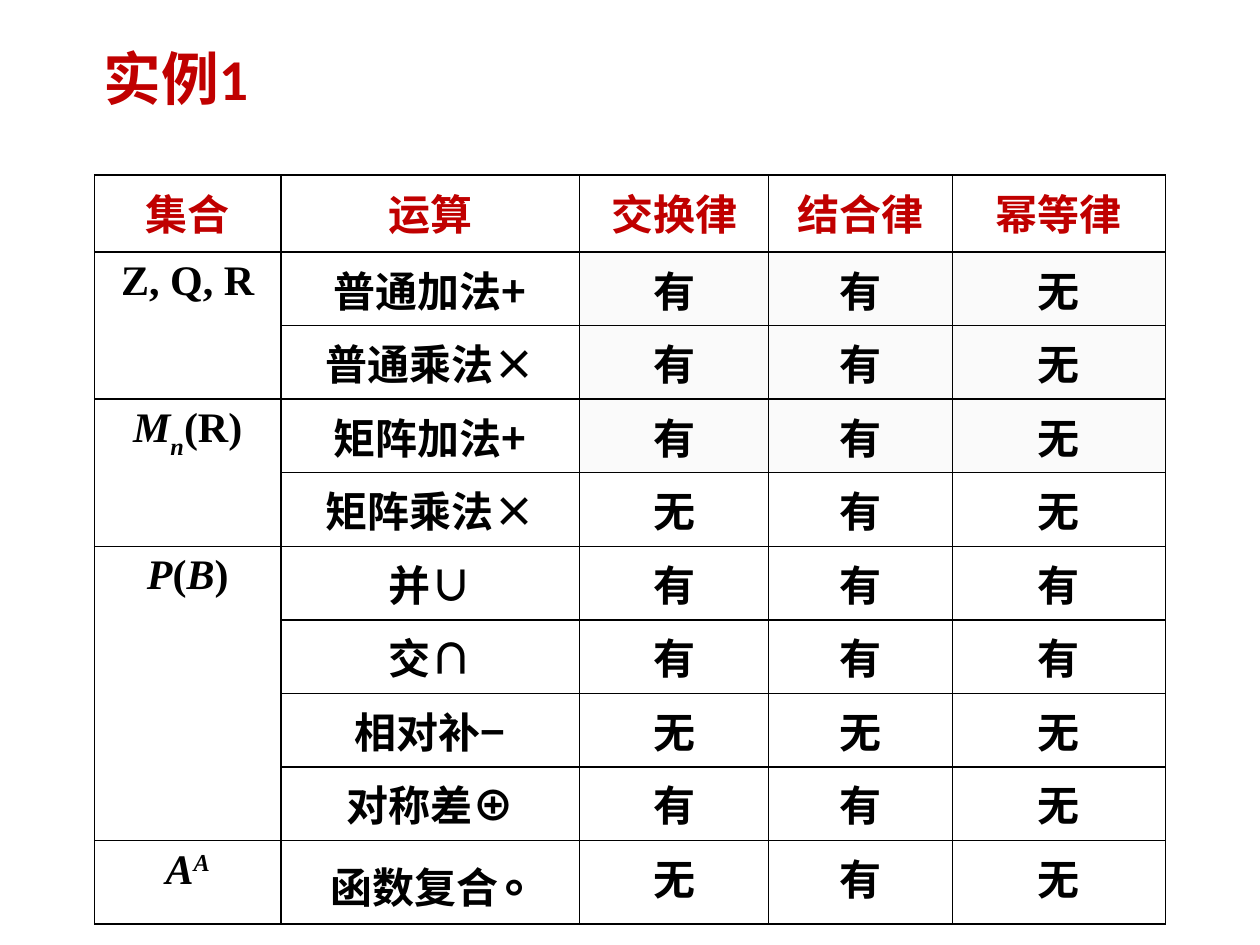
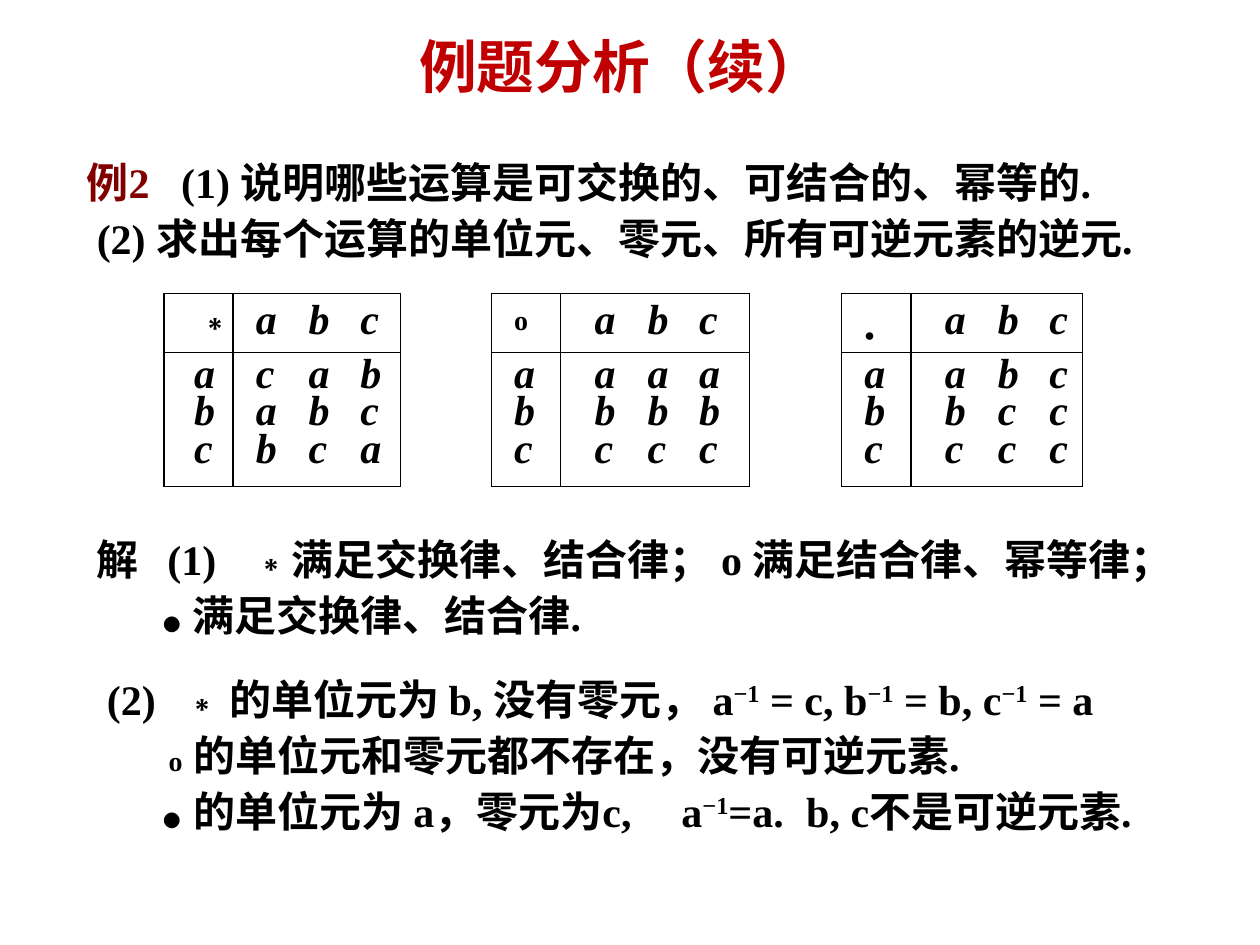
from lxml import etree
from pptx import Presentation
from pptx.dml.color import RGBColor
from pptx.enum.text import MSO_ANCHOR, MSO_AUTO_SIZE, PP_ALIGN
from pptx.oxml.ns import qn
from pptx.util import Inches, Pt

CENTER, LEFT = PP_ALIGN.CENTER, PP_ALIGN.LEFT
MIDDLE, TOP = MSO_ANCHOR.MIDDLE, MSO_ANCHOR.TOP
GROW = MSO_AUTO_SIZE.SHAPE_TO_FIT_TEXT

RED, MAROON, BLACK, WHITE, PALE = "C00000", "800000", "000000", "FFFFFF", "FAFAFA"
SERIF, HAN = "Times New Roman", "Noto Sans CJK SC"
ITALIC = {"italic": True}
SUPER = {"baseline": 30}
DOT = {"size": 10}


def rgb(hex_string):
    """Turn a hex string into a colour."""
    return RGBColor.from_string(hex_string)


def write(paragraph, runs, align=LEFT, spacing=None, tabs=(), **style):
    """Add (text, overrides) runs to a paragraph, with tab stops in inches."""
    paragraph.alignment = align
    paragraph.line_spacing = spacing
    if tabs:
        stops = etree.SubElement(paragraph._p.get_or_add_pPr(), qn("a:tabLst"))
        for stop in tabs:
            etree.SubElement(stops, qn("a:tab"), pos=str(Inches(stop)), algn="l")
    for text, overrides in runs:
        look = {"size": 24, "font": SERIF, "color": BLACK, **style, **overrides}
        run = paragraph.add_run()
        run.text = text
        run.font.size = Pt(look["size"])
        run.font.name = look["font"]
        run.font.bold = True
        run.font.italic = look.get("italic", False)
        run.font.color.rgb = rgb(look["color"])
        properties = run._r.get_or_add_rPr()
        etree.SubElement(properties, qn("a:ea"), typeface=HAN)
        if "baseline" in look:
            properties.set("baseline", str(look["baseline"] * 1000))


def paint(cell, fill, ruled="LRTB"):
    """Give a cell its fill and 1 pt black lines on the ruled sides."""
    properties = cell._tc.get_or_add_tcPr()
    for side in "LRTB":
        line = etree.SubElement(properties, qn("a:ln" + side), w=str(Pt(1)))
        if side in ruled:
            ink = etree.SubElement(line, qn("a:solidFill"))
            etree.SubElement(ink, qn("a:srgbClr"), val=BLACK)
        else:
            etree.SubElement(line, qn("a:noFill"))
    cell.fill.solid()
    cell.fill.fore_color.rgb = rgb(fill)


prs = Presentation()
prs.slide_width, prs.slide_height = Inches(10), Inches(7.5)
title_only = prs.slide_layouts[5]

# Titles
titles = [
    ("实例1", (0.5, 0.3, 9, 0.69), LEFT, 0.22),
    ("例题分析（续）", (0.43, 0.13, 9, 0.85), CENTER, 0),
]
slides = []
for words, box, align, indent in titles:
    slide = prs.slides.add_slide(title_only)
    title = slide.shapes.title
    title.left, title.top, title.width, title.height = map(Inches, box)
    title.text_frame.vertical_anchor = MIDDLE
    heading = title.text_frame.paragraphs[0]
    write(heading, [(words, {})], align, 0.9, size=33, font="Calibri", color=RED)
    heading._p.get_or_add_pPr().set("marL", str(Inches(indent)))
    slides.append(slide)
laws_slide, example_slide = slides

# Slide 1: laws that hold for each operation
header = ["集合", "运算", "交换律", "结合律", "幂等律"]
operations = [
    ("普通加法+", "有有无"), ("普通乘法×", "有有无"),
    ("矩阵加法+", "有有无"), ("矩阵乘法×", "无有无"),
    ("并∪", "有有有"), ("交∩", "有有有"),
    ("相对补−", "无无无"), ("对称差⊕", "有有无"),
    ("函数复合", "无有无"),
]
# first row, last row, name of the set
sets = [
    (1, 2, [("Z, Q, R", {})]),
    (3, 4, [("M", ITALIC), ("n", {"italic": True, "baseline": -30}), ("(R)", {})]),
    (5, 8, [("P", ITALIC), ("(", {}), ("B", ITALIC), (")", {})]),
    (9, 9, [("A", ITALIC), ("A", {**ITALIC, **SUPER})]),
]
laws = laws_slide.shapes.add_table(
    10, 5, Inches(0.75), Inches(1.39), Inches(8.5), Inches(5.26)).table
laws.first_row = laws.horz_banding = False
for column, width in zip(laws.columns, [1.48, 2.37, 1.5, 1.46, 1.69]):
    column.width = Inches(width)
for row, height in zip(laws.rows, [0.61] + [0.5] * 8 + [0.64]):
    row.height = Inches(height)

for r in range(10):
    for c in range(5):
        paint(laws.cell(r, c), PALE if 1 <= r <= 3 and c >= 2 else WHITE)
for c, label in enumerate(header):
    write(laws.cell(0, c).text_frame.paragraphs[0], [(label, {})], CENTER,
          font=HAN, color=RED)
for r, (operation, answers) in enumerate(operations, start=1):
    for c, words in enumerate([operation, *answers], start=1):
        runs = [(words, {})]
        if words == "函数复合":
            runs.append(("∘", {"size": 28, "font": "Courier New"}))
        write(laws.cell(r, c).text_frame.paragraphs[0], runs, CENTER, font=HAN)
for first, last, name in sets:
    if last > first:
        laws.cell(first, 0).merge(laws.cell(last, 0))
    write(laws.cell(first, 0).text_frame.paragraphs[0], name, CENTER)

# Slide 2: three operation tables side by side, parted by open columns
tables = [
    ("∗", {}, ["cab", "abc", "bca"], 0.24, 0.18),
    ("ο", {"size": 16}, ["aaa", "bbb", "ccc"], 0.18, 0.27),
    ("●", DOT, ["abc", "bcc", "ccc"], 0.18, 0.27),
]
cayley = example_slide.shapes.add_table(
    2, 8, Inches(1.3), Inches(2.33), Inches(7.29), Inches(1.53)).table
cayley.first_row = cayley.horz_banding = False
for column, width in zip(cayley.columns, [0.55, 1.33, 0.72, 0.55, 1.5, 0.73, 0.55, 1.36]):
    column.width = Inches(width)
for row, height in zip(cayley.rows, [0.47, 1.06]):
    row.height = Inches(height)

for gap in (2, 5):
    for r in range(2):
        paint(cayley.cell(r, gap), WHITE, ruled="LR")
    cayley.cell(0, gap).merge(cayley.cell(1, gap))
for i, (symbol, symbol_look, products, label_lead, product_lead) in enumerate(tables):
    quarters = [
        (0, 0, label_lead, [symbol], symbol_look),
        (0, 1, product_lead, ["abc"], ITALIC),
        (1, 0, label_lead, ["a", "b", "c"], ITALIC),
        (1, 1, product_lead, products, ITALIC),
    ]
    for r, side, lead, lines, look in quarters:
        cell = cayley.cell(r, 3 * i + side)
        paint(cell, WHITE)
        cell.margin_left, cell.margin_right = Inches(lead), Inches(0)
        cell.vertical_anchor = TOP if r or symbol == lines[0] == "●" else MIDDLE
        if lines[0] == "●":
            cell.margin_top = Inches(0.28)
        for n, line in enumerate(lines):
            frame = cell.text_frame
            paragraph = frame.add_paragraph() if n else frame.paragraphs[0]
            write(paragraph, [("\t".join(line), look)], spacing=0.8, tabs=(0.42, 0.83))

# Slide 2: question and solution; each line has its tab stops and its runs
passages = [
    ((0.59, 1.15, 8.63, 1), False, [
        ((0.75,), [("例2\t", {"color": MAROON}),
                   ("(1) 说明哪些运算是可交换的、可结合的、幂等的.", {})]),
        ((0.08,), [("\t(2) 求出每个运算的单位元、零元、所有可逆元素的逆元.", {})]),
    ]),
    ((0.67, 4.14, 8.66, 0.96), True, [
        ((0.56, 1.22), [("解\t(1)\t∗ 满足交换律、结合律； ο 满足结合律、幂等律；", {})]),
        ((0.53, 0.76), [("\t", {}), ("●", DOT), ("\t满足交换律、结合律.", {})]),
    ]),
    ((0.75, 5.25, 8.59, 1.41), True, [
        ((0.59, 0.97), [("(2)\t", {}), ("∗\t", {"font": "Arial"}),
                        ("的单位元为 b, 没有零元， a", {}), ("−1", SUPER),
                        (" = c, b", {}), ("−1", SUPER),
                        (" = b, c", {}), ("−1", SUPER), (" = a", {})]),
        ((0.49,), [("\t", {}), ("ο", {"size": 16}),
                   (" 的单位元和零元都不存在，没有可逆元素.", {})]),
        ((0.45, 0.69, 4.56, 5.55), [("\t", {}), ("●", DOT),
                                    ("\t的单位元为 a，零元为c,\ta", {}), ("−1", SUPER),
                                    ("=a.\tb, c不是可逆元素.", {})]),
    ]),
]
for box, wraps, lines in passages:
    frame = example_slide.shapes.add_textbox(*map(Inches, box)).text_frame
    frame.word_wrap = wraps
    frame.auto_size = GROW
    for n, (tabs, runs) in enumerate(lines):
        paragraph = frame.add_paragraph() if n else frame.paragraphs[0]
        write(paragraph, runs, spacing=Pt(32), tabs=tabs)

prs.save("out.pptx")
